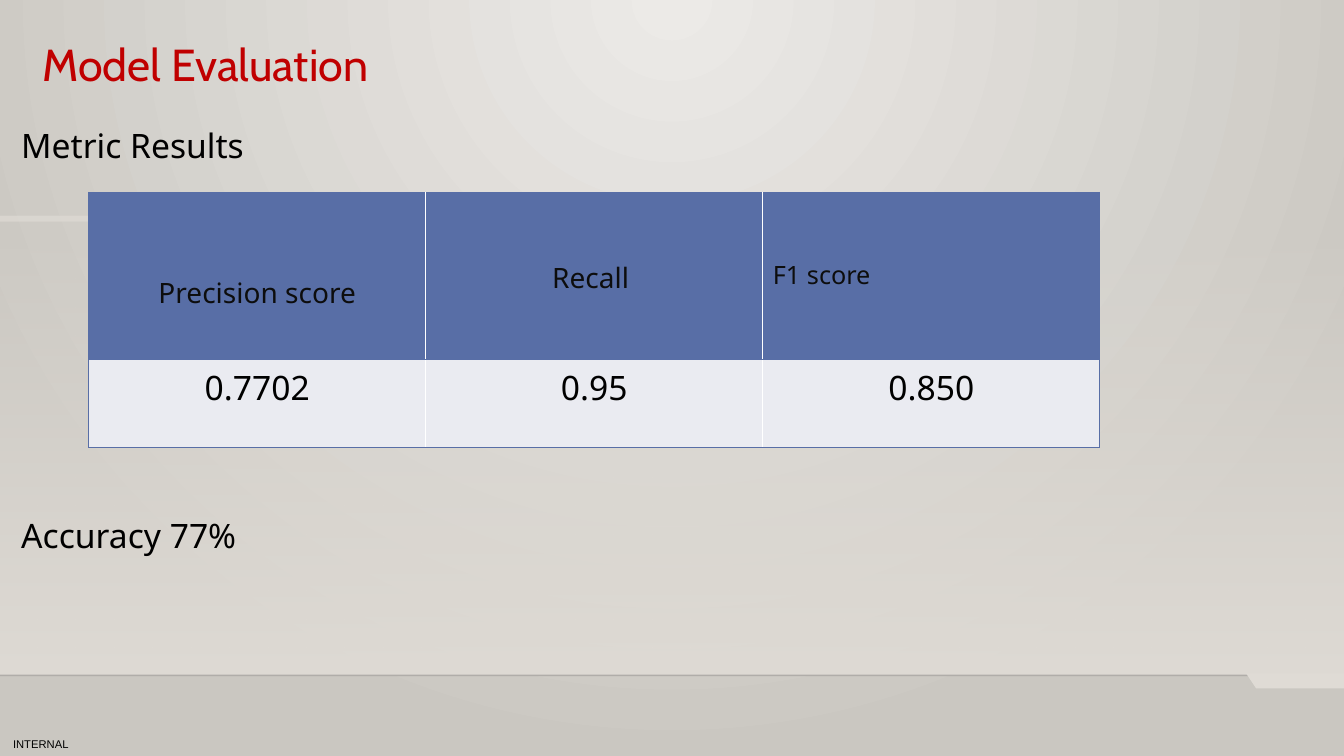
from dataclasses import dataclass

from lxml.etree import SubElement
from pptx import Presentation
from pptx.dml.color import RGBColor
from pptx.enum.shapes import MSO_CONNECTOR as Connector, MSO_SHAPE as Shape
from pptx.enum.text import MSO_ANCHOR as Anchor, PP_ALIGN as Align
from pptx.oxml import parse_xml
from pptx.oxml.ns import nsdecls, qn
from pptx.util import Inches, Pt


@dataclass(frozen=True)
class Theme:
    """Colours, fonts and type sizes of the slide."""
    red: str = "C00000"
    black: str = "000000"
    ink: str = "0D0D0D"
    edge: str = "000001"
    blue: str = "586EA6"
    pale: str = "EAEBF1"
    sand: str = "DFDBD5"
    light: str = "ECEAE7"
    dark: str = "CAC7C1"
    heading: str = "Cabin"
    body: str = "Noto Sans"
    label: str = "Arial"
    title_size: int = 32
    body_size: int = 24
    header_size: int = 20
    small_header_size: int = 18
    label_size: int = 8


THEME = Theme()
WIDTH, HEIGHT = Inches(13.33), Inches(7.5)


def across(percent):
    """Return a share of the slide's width."""
    return round(WIDTH * percent / 100)


def down(percent):
    """Return a share of the slide's height."""
    return round(HEIGHT * percent / 100)


def area(left, top, width, height):
    """Turn shares of the slide into a position and a size."""
    return across(left), down(top), across(width), down(height)


def gradient(stops, direction):
    """Build a gradient fill from (position, colour, opacity) stops."""
    marks = "".join(
        f'<a:gs pos="{place * 1000}"><a:srgbClr val="{color}">'
        f'<a:alpha val="{opacity * 1000}"/></a:srgbClr></a:gs>'
        for place, color, opacity in stops)
    return parse_xml(f'<a:gradFill {nsdecls("a")} rotWithShape="1">'
                     f'<a:gsLst>{marks}</a:gsLst>{direction}</a:gradFill>')


def replace_fill(solid_fill, new_fill):
    """Swap a solid fill element for another fill."""
    solid_fill.getparent().replace(solid_fill, new_fill)


def set_opacity(element, percent):
    """Make the first colour inside an element partly transparent."""
    color = next(element.iter(qn("a:srgbClr")))
    SubElement(color, qn("a:alpha"), val=str(percent * 1000))


def write(para, text, font, size, color, align=Align.LEFT, spacing=None, before=0):
    """Fill a paragraph with one formatted run."""
    para.text = text
    para.alignment = align
    para.space_before = Pt(before)
    if spacing:
        para.line_spacing = spacing
    for span in para.runs:
        span.font.name, span.font.size, span.font.bold = font, Pt(size), False
        span.font.color.rgb = RGBColor.from_string(color)


def paint_background(slide):
    """Spread a round gradient from the top centre of the slide."""
    fill = slide.background.fill
    fill.solid()
    fill.fore_color.rgb = RGBColor.from_string(THEME.light)
    glow = gradient([(0, THEME.light, 100), (100, THEME.dark, 100)],
                    '<a:path path="circle"><a:fillToRect l="43000" t="0" '
                    'r="43000" b="100000"/></a:path>')
    replace_fill(next(slide.background._cSld.iter(qn("a:solidFill"))), glow)


def finish(shape):
    """Give a shape the sand fill, no line and no shadow."""
    shape.shadow.inherit = False
    shape.fill.solid()
    shape.fill.fore_color.rgb = RGBColor.from_string(THEME.sand)
    shape.line.fill.background()


def add_wall(slide):
    """Add the band that fades in towards the floor line."""
    wall = slide.shapes.add_shape(Shape.RECTANGLE, *area(0, 29.47, 100, 59.87))
    finish(wall)
    fade = gradient([(0, THEME.sand, 0), (100, THEME.sand, 100)],
                    '<a:lin ang="5400000" scaled="0"/>')
    replace_fill(wall._element.spPr.find(qn("a:solidFill")), fade)


def add_floor_line(slide):
    """Add the faint line along the floor."""
    line = slide.shapes.add_connector(
        Connector.STRAIGHT, 0, down(89.33), WIDTH, down(89.33))
    line.line.width = Pt(1)
    line.line.color.rgb = RGBColor.from_string(THEME.edge)
    set_opacity(line._element.spPr, 20)
    SubElement(line._element.spPr, qn("a:effectLst"))


def add_tab(slide, corners, opacity):
    """Add a slanted tab through the given corners."""
    start, *rest = [(across(x), down(y)) for x, y in corners]
    builder = slide.shapes.build_freeform(*start)
    builder.add_line_segments(rest, close=True)
    tab = builder.convert_to_shape()
    finish(tab)
    set_opacity(tab._element.spPr, opacity)


def add_title(slide, text):
    """Place and format the title."""
    title = slide.shapes.title
    title.left, title.top, title.width, title.height = area(2.4, 2.8, 36.3, 10.93)
    title.text_frame.vertical_anchor = Anchor.TOP
    title.text_frame.word_wrap = True
    write(title.text_frame.paragraphs[0], text, THEME.heading,
          THEME.title_size, THEME.red, spacing=1.2, before=10)


def add_text(slide, place):
    """Add a wrapping text box without a left inset."""
    box = slide.shapes.add_textbox(*area(*place))
    box.text_frame.word_wrap = True
    box.text_frame.margin_left = 0
    return box.text_frame


def add_body(slide, lines):
    """Add paragraphs, each with its own space above."""
    frame = add_text(slide, (1.58, 14.8, 95.8, 68.93))
    for index, (text, before) in enumerate(lines):
        para = frame.add_paragraph() if index else frame.paragraphs[0]
        write(para, text, THEME.body, THEME.body_size, THEME.black,
              spacing=1.2, before=before)


def add_label(slide, text):
    """Add the small classification label in the corner."""
    frame = add_text(slide, (0, 96.8, 6.08, 3.2))
    frame.margin_right = frame.margin_top = frame.margin_bottom = 0
    frame.vertical_anchor = Anchor.MIDDLE
    write(frame.paragraphs[0], text, THEME.label, THEME.label_size,
          THEME.black, Align.CENTER)


def add_border(cell, side):
    """Draw one blue cell edge."""
    edge = SubElement(cell._tc.get_or_add_tcPr(), qn(f"a:ln{side}"), w=str(Pt(1)))
    SubElement(SubElement(edge, qn("a:solidFill")), qn("a:srgbClr"), val=THEME.blue)


def format_cell(cell, fill, sides):
    """Set the fill and the edges of a table cell."""
    for side in sides:
        add_border(cell, side)
    cell.fill.solid()
    cell.fill.fore_color.rgb = RGBColor.from_string(fill)


def add_metrics(slide, metrics):
    """Add the table of metric names above their values."""
    place = area(6.6, 25.47, 75.24, 33.73)
    table = slide.shapes.add_table(2, len(metrics), *place).table
    table.rows[0].height, table.rows[1].height = down(22.13), down(11.6)
    last = len(metrics) - 1
    for column, (name, size, align, top, value) in enumerate(metrics):
        sides = ("L" if column == 0 else "") + ("R" if column == last else "") + "TB"
        head, result = table.cell(0, column), table.cell(1, column)
        format_cell(head, THEME.blue, sides)
        format_cell(result, THEME.pale, sides)
        head.margin_top = Inches(top)
        write(head.text_frame.paragraphs[0], name, THEME.body, size, THEME.ink, align)
        write(result.text_frame.paragraphs[0], value, THEME.body,
              THEME.body_size, THEME.black, Align.CENTER)


def main():
    """Build the slide and save the deck."""
    deck = Presentation()
    deck.slide_width, deck.slide_height = WIDTH, HEIGHT
    slide = deck.slides.add_slide(deck.slide_layouts[5])
    paint_background(slide)
    add_wall(slide)
    add_floor_line(slide)
    add_label(slide, "INTERNAL")
    add_tab(slide, [(100, 89.07), (100, 91.07), (93.47, 91.07), (92.72, 89.07)], 100)
    add_tab(slide, [(0, 28.53), (0, 29.33), (42.83, 29.33), (43.2, 28.53)], 70)
    add_body(slide, [("Metric Results", 6), ("Accuracy 77%", 244)])
    add_title(slide, "Model Evaluation")
    add_metrics(slide, [
        ("Precision score", THEME.header_size, Align.CENTER, 0.8, "0.7702"),
        ("Recall ", THEME.header_size, Align.CENTER, 0.65, "0.95"),
        ("F1 score", THEME.small_header_size, Align.LEFT, 0.65, "0.850"),
    ])
    deck.save("out.pptx")


if __name__ == "__main__":
    main()
